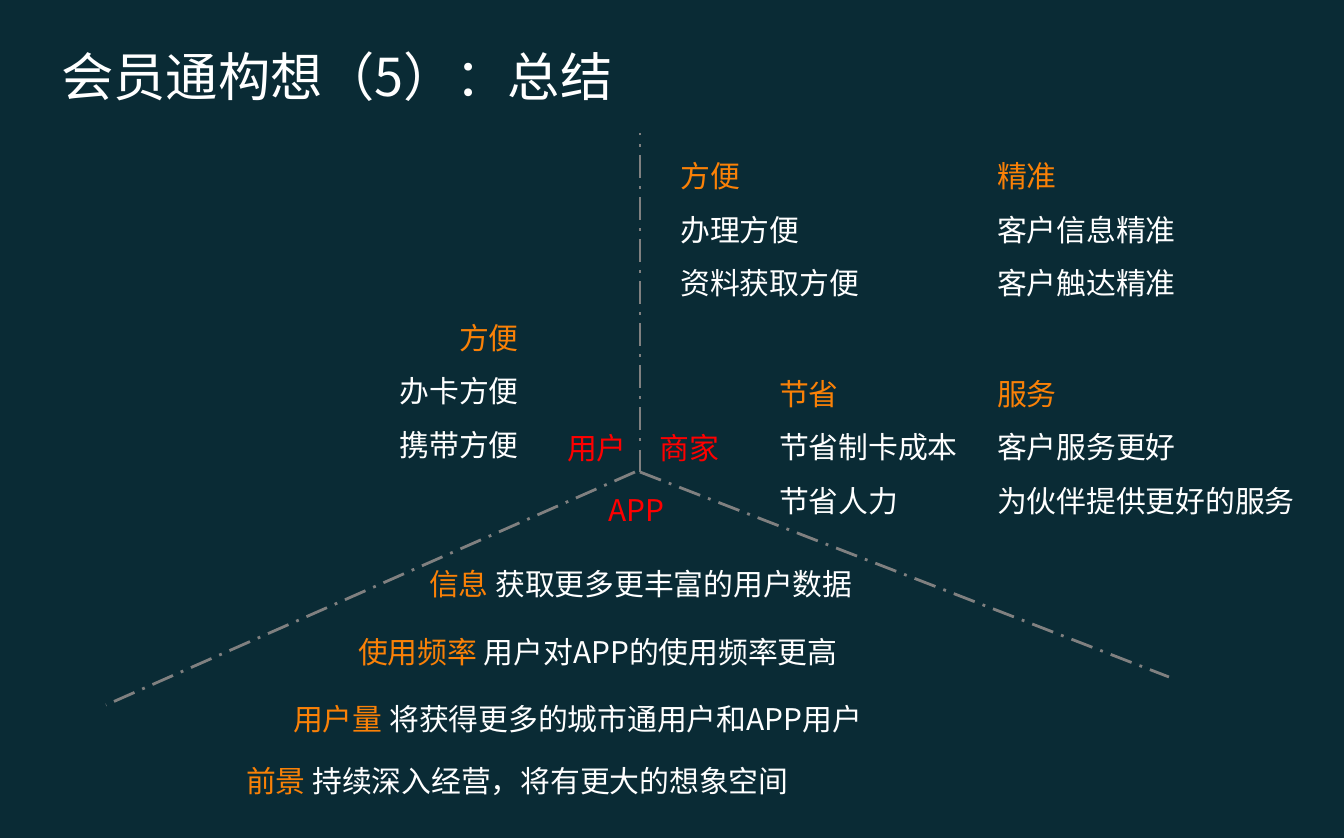
from dataclasses import dataclass

from lxml import etree
from pptx import Presentation
from pptx.dml.color import RGBColor
from pptx.enum.dml import MSO_LINE
from pptx.enum.lang import MSO_LANGUAGE_ID
from pptx.enum.shapes import MSO_CONNECTOR
from pptx.enum.text import MSO_ANCHOR, MSO_AUTO_SIZE, PP_ALIGN
from pptx.oxml.ns import qn
from pptx.util import Emu, Inches, Pt

SLIDE_WIDTH, SLIDE_HEIGHT = 1344, 838
SCALE = Inches(10) / SLIDE_WIDTH
FONT = "Noto Sans CJK TC"
CHINESE = MSO_LANGUAGE_ID.SIMPLIFIED_CHINESE
LEFT, RIGHT = PP_ALIGN.LEFT, PP_ALIGN.RIGHT
TOP = MSO_ANCHOR.TOP
NO_FIT = MSO_AUTO_SIZE.NONE
STRAIGHT = MSO_CONNECTOR.STRAIGHT
DASH = MSO_LINE.LONG_DASH_DOT
COLORS = {
    "background": "0A2B35",
    "text": "FFFFFF",
    "heading": "FA8107",
    "role": "FF0000",
    "divider": "808080",
}
FRAME_FORMAT = {"word_wrap": True, "auto_size": NO_FIT, "vertical_anchor": TOP}
ROW_HEIGHT = 50
GROUP_HEIGHT = 176


@dataclass(frozen=True)
class Span:
    text: str
    color: str = "text"


@dataclass(frozen=True)
class Role:
    left: int
    top: int
    width: int
    name: str


@dataclass(frozen=True)
class Group:
    left: int
    top: int
    width: int
    heading: str
    points: tuple[str, ...]
    align: PP_ALIGN = LEFT


@dataclass(frozen=True)
class Benefit:
    left: int
    top: int
    width: int
    heading: str
    detail: str


@dataclass(frozen=True)
class Divider:
    start: tuple[int, int]
    end: tuple[int, int]


TITLE = "会员通构想（5）：总结"
ROLES = [
    Role(595, 485, 90, "APP"),
    Role(554, 423, 95, "用户"),
    Role(646, 423, 95, "商家"),
]
GROUPS = [
    Group(279, 295, 253, "方便", ("办卡方便", "携带方便"), RIGHT),
    Group(667, 133, 317, "方便", ("办理方便", "资料获取方便")),
    Group(766, 351, 317, "节省", ("节省制卡成本", "节省人力")),
    Group(984, 133, 317, "精准", ("客户信息精准", "客户触达精准")),
    Group(984, 351, 327, "服务", ("客户服务更好", "为伙伴提供更好的服务")),
]
BENEFITS = [
    Benefit(416, 559, 539, "信息", "获取更多更丰富的用户数据"),
    Benefit(345, 627, 581, "使用频率", "用户对APP的使用频率更高"),
    Benefit(280, 694, 671, "用户量", "将获得更多的城市通用户和APP用户"),
    Benefit(233, 756, 868, "前景", "持续深入经营，将有更大的想象空间"),
]
DIVIDERS = [
    Divider((640, 472), (640, 133)),
    Divider((635, 472), (106, 705)),
    Divider((640, 472), (1169, 677)),
]


def px(length: int) -> Emu:
    return Emu(round(length * SCALE))


def rgb(name: str) -> RGBColor:
    return RGBColor.from_string(COLORS[name])


def set_all(target, values: dict) -> None:
    for name, value in values.items():
        setattr(target, name, value)


def write(box, lines: list[list[Span]], size: int = 16,
          align: PP_ALIGN = LEFT, spacing: float = 1.0) -> None:
    frame = box.text_frame
    set_all(frame, FRAME_FORMAT)
    for index, line in enumerate(lines):
        para = frame.add_paragraph() if index else frame.paragraphs[0]
        set_all(para, {"alignment": align, "line_spacing": spacing})
        for span in line:
            run = para.add_run()
            run.text = span.text
            set_all(run.font, {"size": Pt(size), "name": FONT, "language_id": CHINESE})
            run.font.color.rgb = rgb(span.color)
            east_asian = etree.SubElement(run.font._element, qn("a:ea"))
            east_asian.set("typeface", FONT)


def add_box(page, left: int, top: int, width: int, height: int):
    return page.shapes.add_textbox(px(left), px(top), px(width), px(height))


def draw_title(page) -> None:
    title = page.shapes.title
    set_all(title, {"left": px(48), "top": px(38), "width": px(1133), "height": px(77)})
    write(title, [[Span(TITLE)]], size=28)


def draw_role(page, role: Role) -> None:
    box = add_box(page, role.left, role.top, role.width, ROW_HEIGHT)
    write(box, [[Span(role.name, "role")]])


def draw_group(page, group: Group) -> None:
    box = add_box(page, group.left, group.top, group.width, GROUP_HEIGHT)
    lines = [[Span(group.heading, "heading")]] + [[Span(point)] for point in group.points]
    write(box, lines, align=group.align, spacing=1.5)


def draw_benefit(page, benefit: Benefit) -> None:
    box = add_box(page, benefit.left, benefit.top, benefit.width, ROW_HEIGHT)
    write(box, [[Span(benefit.heading + " ", "heading"), Span(benefit.detail)]])


def draw_divider(page, divider: Divider) -> None:
    points = [px(value) for value in divider.start + divider.end]
    connector = page.shapes.add_connector(STRAIGHT, *points)
    set_all(connector.line, {"width": Pt(1.5), "dash_style": DASH})
    connector.line.color.rgb = rgb("divider")
    etree.SubElement(connector._element.spPr, qn("a:effectLst"))


def main() -> None:
    deck = Presentation()
    set_all(deck, {"slide_width": px(SLIDE_WIDTH), "slide_height": px(SLIDE_HEIGHT)})
    page = deck.slides.add_slide(deck.slide_layouts.get_by_name("Title Only"))
    page.background.fill.solid()
    page.background.fill.fore_color.rgb = rgb("background")
    draw_title(page)
    for draw, items in (
        (draw_divider, DIVIDERS),
        (draw_role, ROLES),
        (draw_group, GROUPS),
        (draw_benefit, BENEFITS),
    ):
        for item in items:
            draw(page, item)
    deck.save("out.pptx")


if __name__ == "__main__":
    main()
